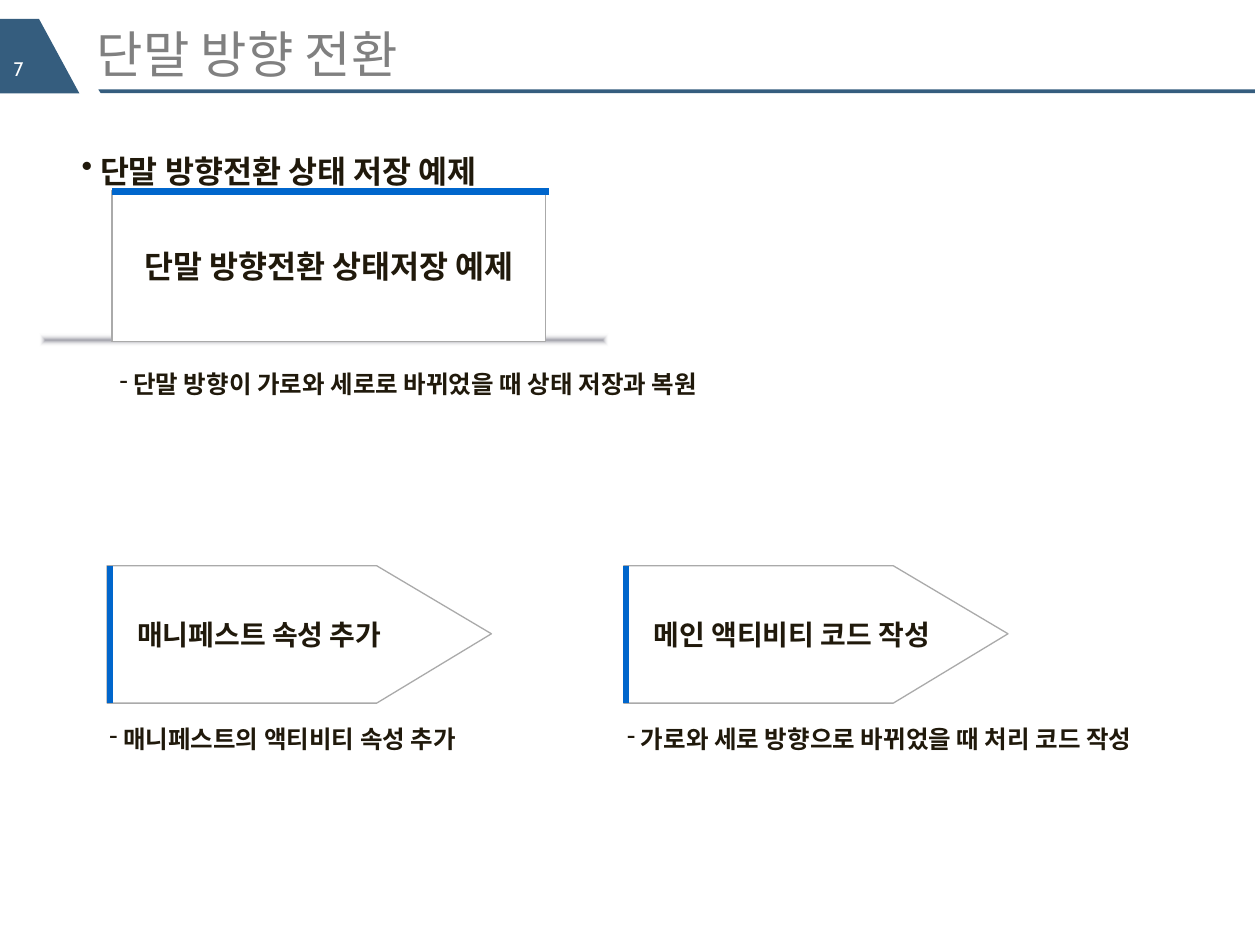
from lxml import etree
from pptx import Presentation
from pptx.dml.color import RGBColor
from pptx.enum.shapes import MSO_CONNECTOR as CONNECTOR, MSO_SHAPE as SHAPE
from pptx.enum.text import MSO_ANCHOR as ANCHOR, MSO_AUTO_SIZE as AUTO, PP_ALIGN as ALIGN
from pptx.oxml import parse_xml
from pptx.oxml.ns import qn
from pptx.util import Inches, Pt

NAVY = RGBColor(0x35, 0x5D, 0x7E)
BLUE = RGBColor(0x00, 0x66, 0xCC)
GRAY = RGBColor(0x80, 0x80, 0x80)
EDGE = RGBColor(0xAA, 0xAA, 0xAA)
INK = RGBColor(0x20, 0x19, 0x0B)
WHITE = RGBColor(0xFF, 0xFF, 0xFF)
KOREAN = "Noto Sans CJK KR"
GLOW = """<a:gradFill xmlns:a="http://schemas.openxmlformats.org/drawingml/2006/main" rotWithShape="1">
<a:gsLst>
<a:gs pos="0"><a:srgbClr val="464658"><a:alpha val="51000"/></a:srgbClr></a:gs>
<a:gs pos="100000"><a:srgbClr val="FFFFFF"><a:alpha val="0"/></a:srgbClr></a:gs>
</a:gsLst>
<a:path path="rect"><a:fillToRect l="50000" t="50000" r="50000" b="50000"/></a:path>
</a:gradFill>"""


def write(shape, text, size, color=INK, bold=True, font=KOREAN):
    frame = shape.text_frame
    frame.word_wrap = True
    line = frame.paragraphs[0]
    run = line.add_run()
    run.text = text
    for name, value in {"size": Pt(size), "bold": bold, "name": font}.items():
        setattr(run.font, name, value)
    run.font.color.rgb = color
    etree.SubElement(run._r.get_or_add_rPr(), qn("a:ea")).set("typeface", font)
    return frame, line


def paint(shape, fill, edge=None):
    shape.shadow.inherit = False
    shape.fill.solid()
    shape.fill.fore_color.rgb = fill
    if edge is None:
        shape.line.fill.background()
    else:
        shape.line.color.rgb = edge
        shape.line.width = Pt(0.75)
        frame = shape.text_frame
        frame.vertical_anchor = ANCHOR.MIDDLE
        for side in ("left", "top", "right", "bottom"):
            setattr(frame, f"margin_{side}", 0)


prs = Presentation()
prs.slide_width, prs.slide_height = Inches(10), Inches(7.5)
slide = prs.slides.add_slide(prs.slide_layouts[6])
shapes = slide.shapes

header_rule = [(0.78, 0.71), (9.96, 0.71), (9.96, 0.74), (0.8, 0.74)]
number_tab = [(0.31, 0.15), (0.63, 0.74), (0, 0.74), (0, 0.15)]
step_lefts = {"매니페스트 속성 추가": 0.85, "메인 액티비티 코드 작성": 4.95}
step_outlines = [
    (name, [(x + 2.14, 4.49), (x, 4.49), (x, 5.58), (x + 2.14, 5.58), (x + 3.05, 5.03)])
    for name, x in step_lefts.items()
]
for label, points in [("", header_rule), ("", number_tab), *step_outlines]:
    corners = [(Inches(x), Inches(y)) for x, y in points]
    builder = shapes.build_freeform(*corners[0])
    builder.add_line_segments(corners[1:], close=True)
    outline = builder.convert_to_shape()
    paint(outline, WHITE if label else NAVY, EDGE if label else None)
    if label:
        frame, line = write(outline, label, 16)
        line.alignment = ALIGN.LEFT
        line._p.get_or_add_pPr().set("marL", str(Inches(0.24)))

page_number = shapes.add_textbox(Inches(0.01), Inches(0.4), Inches(0.58), Inches(0.27))
write(page_number, "7", 11.2, WHITE, False, "Cabin")
title = shapes.add_textbox(Inches(0.67), Inches(0.25), Inches(8.92), Inches(0.35))
frame, line = write(title, "단말 방향 전환", 28.8, GRAY, False)
frame.vertical_anchor = ANCHOR.MIDDLE

glow = shapes.add_shape(SHAPE.RECTANGLE, Inches(0.31), Inches(2.65), Inches(4.52), Inches(0.1))
paint(glow, WHITE)
solid = glow._element.spPr.find(qn("a:solidFill"))
solid.getparent().replace(solid, parse_xml(GLOW))

example = shapes.add_shape(SHAPE.RECTANGLE, Inches(0.89), Inches(1.51), Inches(3.44), Inches(1.2))
paint(example, WHITE, EDGE)
frame, line = write(example, "단말 방향전환 상태저장 예제", 18)
line.alignment = ALIGN.CENTER

step_accents = [(x + 0.02, 4.49, x + 0.02, 5.58) for x in step_lefts.values()]
for ends in [(0.89, 1.52, 4.36, 1.52), *step_accents]:
    accent = shapes.add_connector(CONNECTOR.STRAIGHT, *map(Inches, ends))
    accent.line.color.rgb = BLUE
    accent.line.width = Pt(3.5)
    etree.SubElement(accent._element.spPr, qn("a:effectLst"))

for x, y, width, height, bullet, size, spacing, text in [
    (0.55, 1.12, 8.15, 0.38, "•", 18, Pt(24), "단말 방향전환 상태 저장 예제"),
    (0.85, 2.76, 5.62, 0.39, "-", 14, 1.5, "단말 방향이 가로와 세로로 바뀌었을 때 상태 저장과 복원"),
    (0.77, 5.58, 3.36, 0.39, "-", 14, 1.5, "매니페스트의 액티비티 속성 추가"),
    (4.88, 5.58, 4.74, 0.39, "-", 14, 1.5, "가로와 세로 방향으로 바뀌었을 때 처리 코드 작성"),
]:
    note = shapes.add_textbox(Inches(x), Inches(y), Inches(width), Inches(height))
    frame, line = write(note, f" {text}", size)
    frame.auto_size = AUTO.SHAPE_TO_FIT_TEXT
    line.line_spacing = spacing
    etree.SubElement(line._p.get_or_add_pPr(), qn("a:buChar")).set("char", bullet)

prs.save("out.pptx")
